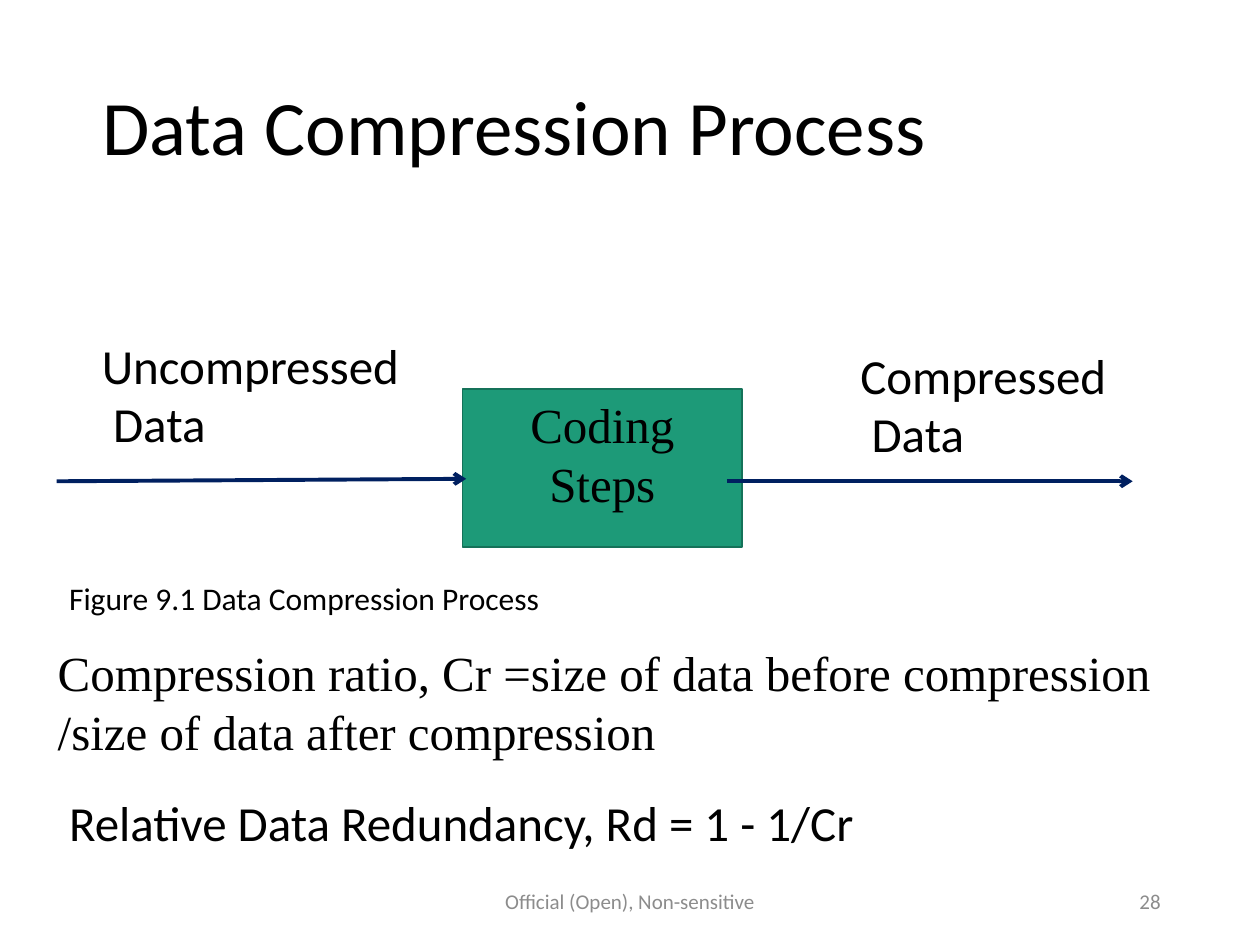
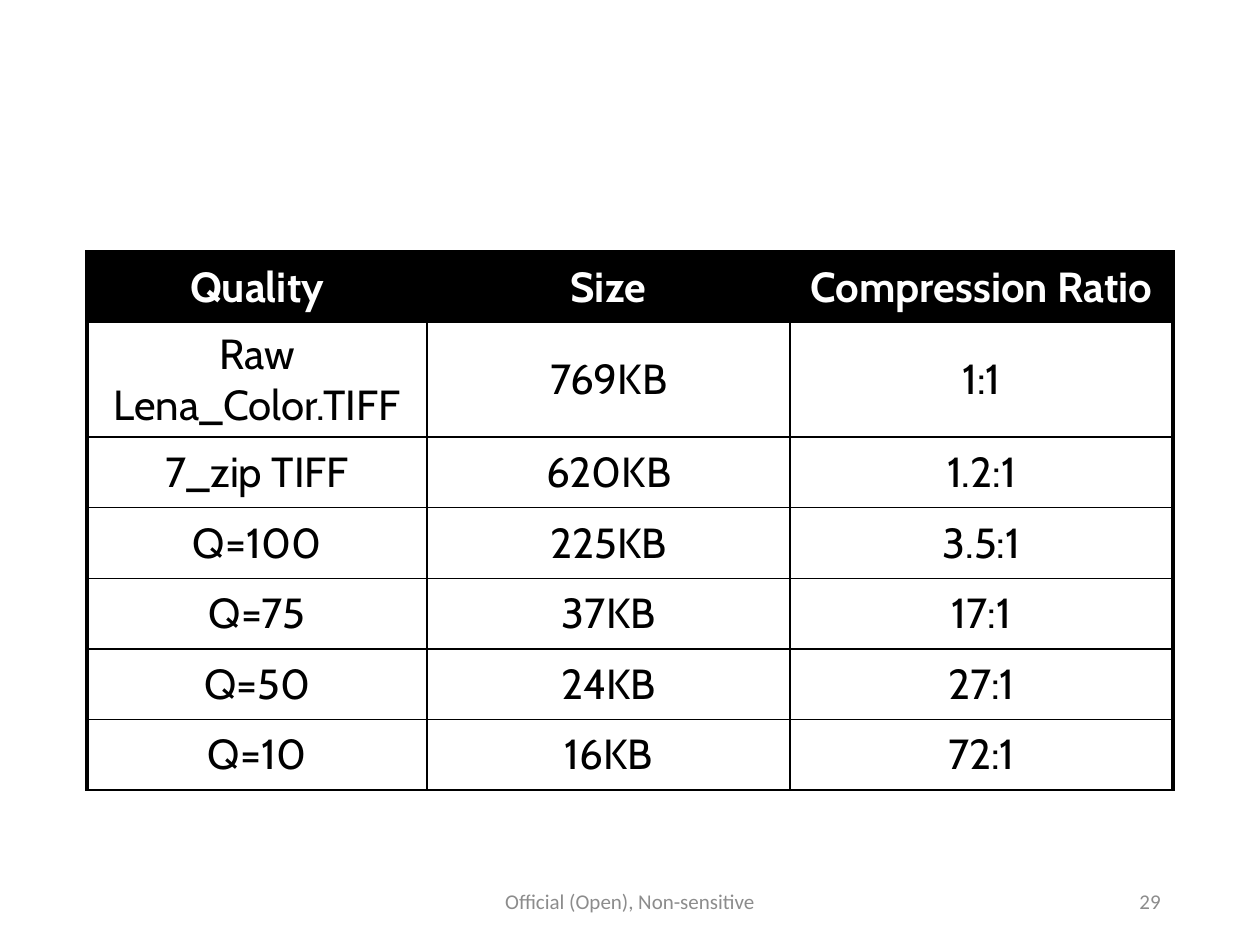
"""Build two slides on the data compression process and its measured ratios."""
from lxml.etree import SubElement
from pptx import Presentation
from pptx.dml.color import RGBColor
from pptx.enum.shapes import MSO_CONNECTOR, MSO_SHAPE
from pptx.enum.text import MSO_ANCHOR as ANCHOR, PP_ALIGN as ALIGN
from pptx.oxml import parse_xml
from pptx.oxml.ns import nsdecls, qn
from pptx.util import Inches, Pt

BLACK = RGBColor(0x00, 0x00, 0x00)
WHITE = RGBColor(0xFF, 0xFF, 0xFF)
GREY = RGBColor(0x8C, 0x8C, 0x8C)
GREEN = RGBColor(0x1D, 0x9A, 0x78)
DARK_GREEN = RGBColor(0x15, 0x72, 0x59)
NAVY = RGBColor(0x00, 0x20, 0x60)
SANS, SERIF, TABLE_FONT = "Calibri", "Times New Roman", "Cabin"
FIRST_NUMBER = 28


def write(frame, lines, size, name=SANS, color=BLACK, align=ALIGN.LEFT, bold=False):
    """Fill a text frame with one formatted paragraph per line."""
    for index, line in enumerate(lines):
        para = frame.paragraphs[0] if index == 0 else frame.add_paragraph()
        para.alignment = align
        span = para.add_run()
        span.text = line
        for key, value in {"size": Pt(size), "name": name, "bold": bold}.items():
            setattr(span.font, key, value)
        span.font.color.rgb = color


def add_text(page, place, lines, size, wrap=True, anchor=ANCHOR.TOP, **style):
    """Add a text box at the given left, top, width and height."""
    box = page.shapes.add_textbox(*map(Inches, place))
    frame = box.text_frame
    frame.word_wrap = wrap
    frame.vertical_anchor = anchor
    write(frame, lines, size, **style)
    return box


deck = Presentation()
deck.slide_width, deck.slide_height = Inches(10), Inches(7.5)
process_page = deck.slides.add_slide(deck.slide_layouts[5])
ratio_page = deck.slides.add_slide(deck.slide_layouts[6])

for number, page in enumerate(deck.slides, FIRST_NUMBER):
    footer = {"size": 12, "color": GREY, "anchor": ANCHOR.MIDDLE}
    add_text(page, (3.31, 6.95, 3.38, 0.4), ["Official (Open), Non-sensitive"],
             align=ALIGN.CENTER, **footer)
    add_text(page, (7.06, 6.95, 2.25, 0.4), [str(number)], align=ALIGN.RIGHT, **footer)

title = process_page.shapes.title
title.left, title.top, title.width, title.height = map(Inches, (0.71, 0.31, 8.62, 1.45))
title.text_frame.vertical_anchor = ANCHOR.MIDDLE
write(title.text_frame, ["Data Compression Process"], 44)
title.text_frame.paragraphs[0].line_spacing = 0.9

coding_box = process_page.shapes.add_shape(
    MSO_SHAPE.RECTANGLE, *map(Inches, (3.67, 3.09, 2.22, 1.25)))
coding_box.shadow.inherit = False
coding_box.fill.solid()
coding_box.fill.fore_color.rgb = GREEN
coding_box.line.color.rgb = DARK_GREEN
coding_box.line.width = Pt(1)
coding_box.text_frame.word_wrap = True
coding_box.text_frame.vertical_anchor = ANCHOR.TOP
coding_box.text_frame.margin_top = Inches(0.04)
write(coding_box.text_frame, ["Coding Steps"], 28, name=SERIF, align=ALIGN.CENTER)

for ends in [(0.45, 3.82, 3.7, 3.8), (5.77, 3.82, 8.99, 3.82)]:
    arrow = process_page.shapes.add_connector(MSO_CONNECTOR.STRAIGHT, *map(Inches, ends))
    arrow.line.color.rgb = NAVY
    arrow.line.width = Pt(2.25)
    SubElement(arrow.line._get_or_add_ln(), qn("a:tailEnd"), type="arrow")
    SubElement(arrow._element.spPr, qn("a:effectLst"))

for place, state in [((0.71, 2.61, 2.59, 1.04), "Uncompressed"),
                     ((6.73, 2.69, 2.17, 1.04), "Compressed")]:
    label = add_text(process_page, place, [state, "Data"], 28, wrap=False)
    data_line = label.text_frame.paragraphs[1]
    data_line._p.get_or_add_pPr().set("marL", str(Inches(0.09)))

add_text(process_page, (0.36, 5.05, 9.46, 1.35),
         ["Compression ratio, Cr =size of data before compression",
          "/size of data after compression"], 28, name=SERIF)
add_text(process_page, (0.45, 6.24, 7.69, 0.88),
         ["Relative Data Redundancy, Rd = 1 - 1/Cr"], 28)
add_text(process_page, (0.45, 4.55, 3.98, 0.4),
         ["Figure 9.1 Data Compression Process"], 18, wrap=False)

ratio_rows = [
    ("Quality", "Size", "Compression Ratio"),
    ("Raw Lena_Color.TIFF", "769KB", "1:1"),
    ("7_zip TIFF", "620KB", "1.2:1"),
    ("Q=100", "225KB", "3.5:1"),
    ("Q=75", "37KB", "17:1"),
    ("Q=50", "24KB", "27:1"),
    ("Q=10", "16KB", "72:1"),
]
column_widths = [2.7, 2.88, 3.04]
row_heights = [0.56, 0.91] + [0.56] * 5
table = ratio_page.shapes.add_table(
    len(ratio_rows), len(column_widths), Inches(0.69), Inches(2),
    Inches(sum(column_widths)), Inches(sum(row_heights))).table
for column, width in zip(table.columns, column_widths):
    column.width = Inches(width)
for row, height in zip(table.rows, row_heights):
    row.height = Inches(height)

for r, values in enumerate(ratio_rows):
    for c, value in enumerate(values):
        is_header = r == 0
        cell = table.cell(r, c)
        cell.vertical_anchor = ANCHOR.MIDDLE
        if is_header:
            cell.fill.solid()
            cell.fill.fore_color.rgb = BLACK
        else:
            cell.fill.background()
        write(cell.text_frame, [value], 24, name=TABLE_FONT, align=ALIGN.CENTER,
              color=WHITE if is_header else BLACK, bold=is_header)
        thick_sides = {"L": c == 0, "R": c == len(values) - 1, "T": is_header, "B": False}
        for position, (side, thick) in enumerate(thick_sides.items()):
            border = parse_xml(
                f'<a:ln{side} {nsdecls("a")} w="{Pt(2.25 if thick else 1)}">'
                f'<a:solidFill><a:srgbClr val="{BLACK}"/></a:solidFill></a:ln{side}>')
            cell._tc.get_or_add_tcPr().insert(position, border)

deck.save("out.pptx")
